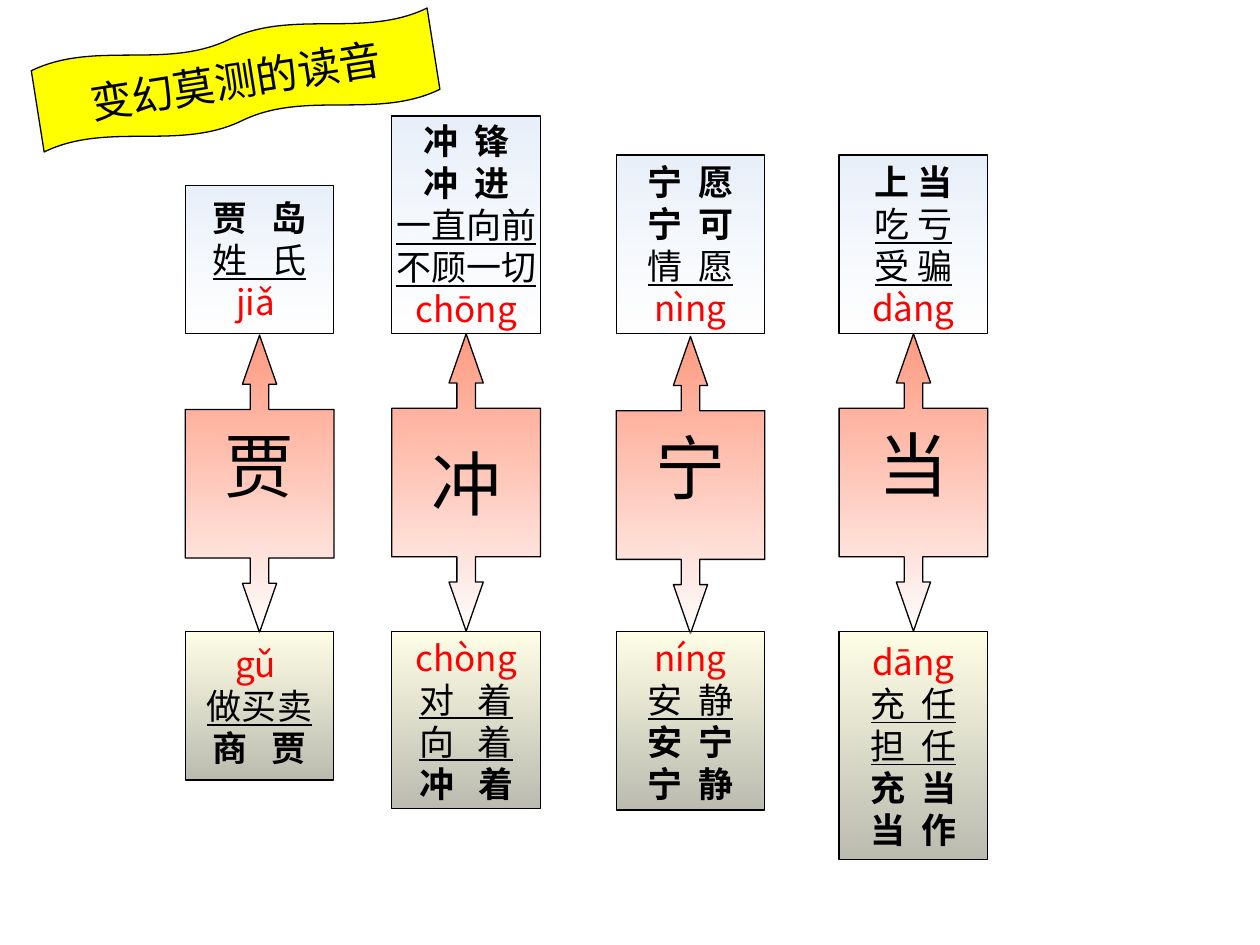
from lxml import etree
from pptx import Presentation
from pptx.dml.color import RGBColor
from pptx.enum.shapes import MSO_SHAPE
from pptx.enum.text import MSO_ANCHOR, PP_ALIGN
from pptx.oxml.ns import qn
from pptx.util import Inches, Pt

RECT = MSO_SHAPE.RECTANGLE
WAVE = MSO_SHAPE.DOUBLE_WAVE
ARROW = MSO_SHAPE.UP_DOWN_ARROW_CALLOUT
MIDDLE = MSO_ANCHOR.MIDDLE
CENTER = PP_ALIGN.CENTER

FONT = "Noto Sans CJK SC"
SIDE = 1.18
UPPER, LOWER = 2.65, 5.01  # edges of the word boxes that face the arrows
BLACK, RED, YELLOW = "000000", "FF0000", "FFFF00"

# Two stops each: colour and opacity in percent
BLUE = [("CFDEF3", 48), ("FFFFFF", 32)]
OLIVE = [("FFFFCC", 48), ("74745D", 49)]
CORAL = [("FF3300", 49), ("FFFFFF", 55)]

# Left, arrow top, space below the character, character, upper and lower box.
# Box: height, points between letters, words, meanings, sound
COLUMNS = [
    (1.47, 2.66, 0.3, "贾",
     (1.18, 4.5, ["贾 岛"], ["姓 氏"], "jiǎ "),
     (1.18, 4.5, ["商 贾"], ["做买卖"], "gǔ ")),
    (3.11, 2.65, 0, "冲",
     (1.73, 2.25, ["冲 锋", "冲 进"], ["一直向前", "不顾一切"], "chōng"),
     (1.41, 4.5, ["冲 着"], ["对 着", "向 着"], "chòng")),
    (4.89, 2.67, 0.3, "宁",
     (1.42, 2.25, ["宁 愿", "宁 可"], ["情 愿"], "nìng"),
     (1.42, 2.25, ["安 宁", "宁 静"], ["安 静"], "níng")),
    (6.66, 2.65, 0.3, "当",
     (1.42, 0, ["上 当"], ["吃 亏", "受 骗"], "dàng"),
     (1.81, 2.25, ["充 当", "当 作"], ["充 任", "担 任"], "dāng")),
]


def color(code):
    return RGBColor.from_string(code)


def add_shape(slide, kind, left, top, width, height):
    shape = slide.shapes.add_shape(
        kind, Inches(left), Inches(top), Inches(width), Inches(height))
    shape.shadow.inherit = False
    shape.line.color.rgb = color(BLACK)
    shape.line.width = Pt(0.75)
    frame = shape.text_frame
    frame.word_wrap = False
    frame.vertical_anchor = MIDDLE
    return shape


def shade(shape, stops):
    """Fill from top to bottom with partly clear colours."""
    fill = shape.fill
    fill.gradient()
    fill.gradient_angle = 270
    for stop, (code, alpha) in zip(fill.gradient_stops, stops):
        stop.color.rgb = color(code)
    for node, (code, alpha) in zip(fill._fill._gradFill.iter(qn("a:srgbClr")), stops):
        etree.SubElement(node, qn("a:alpha"), val=str(alpha * 1000))


def write(para, text, size, tint=BLACK, bold=False, under=False, gap=0, name=FONT):
    para.text = text
    para.alignment = CENTER
    font = para.font
    font.size = Pt(size)
    font.bold = bold
    font.underline = under
    font.color.rgb = color(tint)
    font.name = name
    props = para._p.pPr.find(qn("a:defRPr"))
    etree.SubElement(props, qn("a:ea"), typeface=FONT)
    if gap and " " in text:
        for run in para.runs:
            run._r.get_or_add_rPr().set("spc", str(int(gap * 100)))


def add_banner(slide):
    banner = add_shape(slide, WAVE, 0.28, 0.26, 3.18, 0.75)
    banner.rotation = 351
    banner.adjustments[0] = 0.065
    banner.fill.solid()
    banner.fill.fore_color.rgb = color(YELLOW)
    write(banner.text_frame.paragraphs[0], "变幻莫测的读音", 24, name="Arial")


def add_arrow(slide, left, top, below, text):
    arrow = add_shape(slide, ARROW, left, top, SIDE, 2 * SIDE)
    for i, part in enumerate((0.125, 0.115, 0.33, 0.5)):
        arrow.adjustments[i] = part
    shade(arrow, CORAL)
    frame = arrow.text_frame
    frame.margin_top = 0
    frame.margin_bottom = Inches(below)
    write(frame.paragraphs[0], text, 40)


def add_box(slide, left, box, upper):
    """Words come first in an upper box; a lower box runs the other way."""
    height, gap, words, means, sound = box
    top = UPPER - height if upper else LOWER
    shape = add_shape(slide, RECT, left, top, SIDE, height)
    shade(shape, BLUE if upper else OLIVE)
    groups = [(words, {"bold": True}), (means, {"under": True}),
              ([sound], {"tint": RED})]
    if not upper:
        groups.reverse()
    lines = [(text, style) for texts, style in groups for text in texts]
    frame = shape.text_frame
    for i, (text, style) in enumerate(lines):
        para = frame.add_paragraph() if i else frame.paragraphs[0]
        space = 0 if "tint" in style else gap
        write(para, text, 20, gap=space, **style)


def main():
    deck = Presentation()
    deck.slide_width, deck.slide_height = Inches(10), Inches(7.5)
    slide = deck.slides.add_slide(deck.slide_layouts[6])
    add_banner(slide)
    for left, top, below, text, high, low in COLUMNS:
        add_box(slide, left, high, True)
        add_arrow(slide, left, top, below, text)
        add_box(slide, left, low, False)
    deck.save("out.pptx")


if __name__ == "__main__":
    main()
